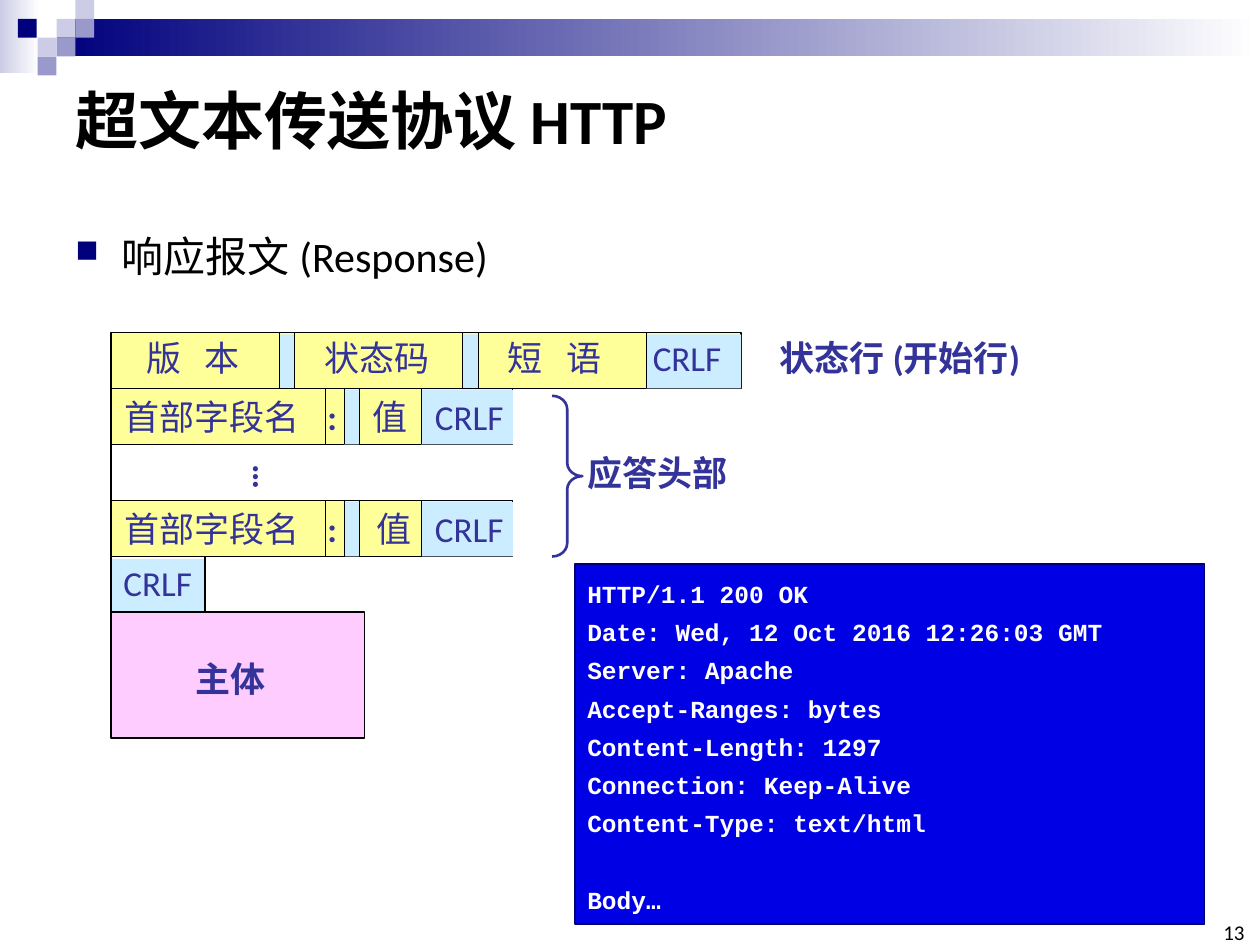
from pptx import Presentation
from pptx.dml.color import RGBColor
from pptx.enum.shapes import MSO_CONNECTOR as Link, MSO_SHAPE as Shape
from pptx.enum.text import MSO_ANCHOR as Anchor, MSO_AUTO_SIZE as Auto, PP_ALIGN as Align
from pptx.oxml.ns import qn
from pptx.util import Cm, Pt
from lxml.etree import SubElement as Sub

NAVY, INK, BLACK, WHITE = "00007D", "333399", "000000", "FFFFFF"
PALE, YELLOW, PINK = "CCECFF", "FFFF99", "FFCCFF"
LILAC, MAUVE = "CCCCE6", "9999CC"
LABEL = {"name": "Calibri", "size": Pt(20), "color": INK, "bold": False}
BOLD = {**LABEL, "bold": True}
TITLE = {**BOLD, "size": Pt(36), "color": BLACK}
BODY = {**LABEL, "size": Pt(24), "color": BLACK}
NUMBER = {**BODY, "size": Pt(12)}
CODE = {**BOLD, "name": "Courier New", "size": Pt(14), "color": WHITE}
REPLY = ["HTTP/1.1 200 OK", "Date: Wed, 12 Oct 2016 12:26:03 GMT", "Server: Apache",
         "Accept-Ranges: bytes", "Content-Length: 1297", "Connection: Keep-Alive",
         "Content-Type: text/html"]


def tint(target, color):
    target.rgb = RGBColor.from_string(color)


def style(font, form):
    for key, value in form.items():
        if key == "color":
            tint(font.color, value)
        else:
            setattr(font, key, value)


def block(slide, box, fill=None, line=None, kind=Shape.RECTANGLE, width=0.75):
    """Add a preset shape; a pair of fill colours makes a gradient."""
    shape = slide.shapes.add_shape(kind, *map(Cm, box))
    shape.shadow.inherit = False
    if isinstance(fill, tuple):
        shape.fill.gradient()
        shape.fill.gradient_angle = 0
        for stop, color in zip(shape.fill.gradient_stops, fill):
            tint(stop.color, color)
    elif fill:
        shape.fill.solid()
        tint(shape.fill.fore_color, fill)
    else:
        shape.fill.background()
    if line:
        tint(shape.line.color, line)
        shape.line.width = Pt(width)
    else:
        shape.line.fill.background()
    return shape


def rule(slide, x, y, h):
    """Add an upright black line."""
    line = slide.shapes.add_connector(Link.STRAIGHT, Cm(x), Cm(y), Cm(x), Cm(y + h))
    tint(line.line.color, BLACK)
    line.line.width = Pt(0.75)
    Sub(line._element.spPr, qn("a:effectLst"))


def write(slide, box, text, form=LABEL, wrap=False, grow=True, **frame):
    """Add a one-paragraph text box and return it."""
    shape = slide.shapes.add_textbox(*map(Cm, box))
    area = shape.text_frame
    area.word_wrap = wrap
    area.auto_size = Auto.SHAPE_TO_FIT_TEXT if grow else Auto.NONE
    for key, value in frame.items():
        setattr(area, key, value)
    area.text = text
    style(area.paragraphs[0].runs[0].font, form)
    return shape


def banner(slide, box):
    x, y, w, h = box
    unit = 0.38
    block(slide, (x, y, 0.79, h), (LILAC, WHITE))
    block(slide, (x + 3 * unit, y + unit, w - 3 * unit, 2 * unit), (NAVY, WHITE))
    for col, row, color in [(3, 1, LILAC), (4, 0, LILAC), (4, 1, MAUVE), (2, 2, LILAC),
                            (0.95, 1, NAVY), (3, 2, MAUVE), (2, 3, MAUVE)]:
        block(slide, (x + col * unit, y + row * unit, unit, unit), color)


def heading(slide, box):
    x, y, w, h = box
    write(slide, (x, y, w, 2.26), "超文本传送协议 HTTP", TITLE, True, False,
          vertical_anchor=Anchor.MIDDLE)
    body = write(slide, (x, y + 2.74, w, h - 2.74), "响应报文 (Response)", BODY, True, False)
    para = body.text_frame.paragraphs[0]
    para.line_spacing = 1.5
    props = para._p.get_or_add_pPr()
    props.set("marL", str(Cm(0.94)))
    props.set("indent", str(-Cm(0.94)))
    Sub(Sub(props, qn("a:buClr")), qn("a:srgbClr")).set("val", NAVY)
    Sub(props, qn("a:buSzPct")).set("val", "75000")
    Sub(props, qn("a:buChar")).set("char", "■")


def strip(slide, box, gaps, cuts):
    """Draw a yellow row with pale spans and upright cuts."""
    x, y, w, h = box
    block(slide, box, YELLOW, BLACK)
    for left, right in gaps:
        block(slide, (x + left, y + 0.03, right - left, h - 0.03), PALE)
    for cut in cuts:
        rule(slide, x + cut, y, h)


def status(slide, box):
    x, y, w, h = box
    cell, step = 3.39, 3.7
    ends = [i * step + cell for i in range(3)]
    gaps = [(ends[0], step), (ends[1], 2 * step), (ends[2], w)]
    strip(slide, box, gaps, ends + [step, 2 * step])
    for i, (text, dx, width) in enumerate([("版 本", 0.46, 2.51), ("状态码", 0.36, 2.62),
                                           ("短 语", 0.35, 2.51)]):
        label = write(slide, (x + i * step + dx, y - 0.06, width, 1.1), text)
        if " " in text:
            label.text_frame.paragraphs[0].runs[0].font._element.set("spc", "450")
    write(slide, (x + 10.67, y - 0.06, 1.9, 1.12), "CRLF")
    write(slide, (x + 13.23, y - 0.06, 5.41, 1.12), "状态行 (开始行)", BOLD, True)


def field(slide, box, shift):
    """Draw one header row; shift moves its value label."""
    x, y, w, h = box
    strip(slide, box, [(4.7, 5), (6.25, w)], [4.32, 4.7, 5, 6.25])
    for text, dx, width, form in [("首部字段名", 0.02, 4.04, LABEL), (":", 4.11, 0.71, BOLD),
                                  ("值", 5.03 + shift, 1.22, LABEL),
                                  ("CRLF", 6.28, 1.9, LABEL)]:
        write(slide, (x + dx, y + 0.02, width, 1.1), text, form)


def headers(slide, box):
    x, y, w, h = box
    row = 1.13
    for top, shift in [(y, 0), (y + h - row, 0.08)]:
        field(slide, (x, top, w, row), shift)
    rule(slide, x, y + row, row)
    write(slide, (x + 2.18, y + 1.22, 1.02, 1.12), "…", BOLD).rotation = 270
    brace = block(slide, (x + 8.89, y + 0.15, 0.61, h - 0.15), None, INK,
                  Shape.RIGHT_BRACE, 1.5)
    brace.adjustments[0] = 0.44
    write(slide, (x + 9.35, y + 1.14, 3.35, 1.12), "应答头部", BOLD)


def content(slide, box):
    x, y, w, h = box
    end = 1.12
    block(slide, (x, y + 0.05, 1.89, end - 0.05), PALE)
    for side in (x, x + 1.89):
        rule(slide, side, y, end)
    write(slide, (x, y - 0.03, 1.9, end), "CRLF")
    block(slide, (x, y + end, w, h - end), PINK, BLACK)
    label = write(slide, (x + 1.45, y + end + 0.79, 1.93, 1.12), "主体", BOLD)
    label.text_frame.paragraphs[0].alignment = Align.CENTER


def sample(slide, box):
    area = block(slide, box, "0000E4", "000072").text_frame
    area.word_wrap = True
    area.vertical_anchor = Anchor.TOP
    lines = REPLY + ["Body…"]
    area.text = "\n".join(lines)
    for para in area.paragraphs:
        para.alignment = Align.LEFT
        para.line_spacing = 1.3
        style(para.runs[0].font, CODE)
    area.paragraphs[-1].space_before = Pt(22)


def footer(slide, box):
    margins = {f"margin_{side}": 0 for side in ("left", "right", "top", "bottom")}
    number = write(slide, box, "13", NUMBER, True, False,
                   vertical_anchor=Anchor.BOTTOM, **margins)
    number.text_frame.paragraphs[0].alignment = Align.RIGHT


def main():
    deck = Presentation()
    deck.slide_width, deck.slide_height = Cm(25.4), Cm(19.05)
    slide = deck.slides.add_slide(deck.slide_layouts[6])
    banner(slide, (0, 0, 25.4, 1.48))
    heading(slide, (1.27, 1.27, 23.3, 4.52))
    left = 2.24
    content(slide, (left, 11.22, 5.11, 3.66))
    status(slide, (left, 6.71, 12.7, 1.12))
    headers(slide, (left, 7.83, 8.1, 3.39))
    sample(slide, (11.59, 11.37, 12.7, 7.26))
    footer(slide, (24.51, 18.62, 0.58, 0.43))
    deck.save("out.pptx")


if __name__ == "__main__":
    main()
